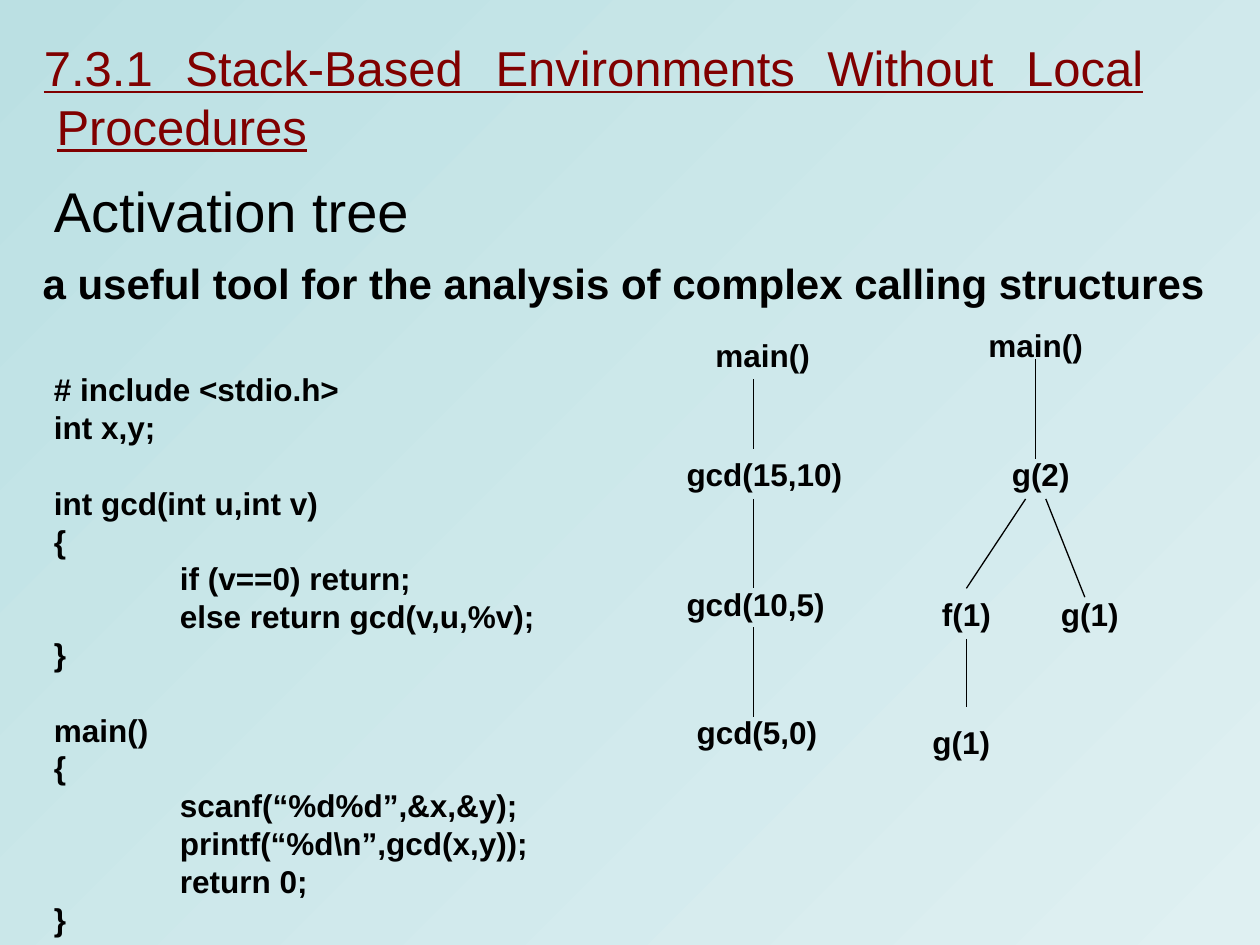
from lxml import etree
from pptx import Presentation
from pptx.dml.color import RGBColor
from pptx.enum.shapes import MSO_CONNECTOR
from pptx.enum.text import MSO_ANCHOR, PP_ALIGN
from pptx.oxml.ns import qn
from pptx.util import Inches, Pt

BLACK = RGBColor(0x00, 0x00, 0x00)
MAROON = RGBColor(0x80, 0x00, 0x00)
BG_START = RGBColor(0xBB, 0xE0, 0xE3)
BG_END = RGBColor(0xDF, 0xF0, 0xF2)
FONT = "Arial"
NODE_HEIGHT = 0.4
BOTTOM, TOP = 2, 0

CODE = """# include <stdio.h>
int x,y;

int gcd(int u,int v)
{
\tif (v==0) return;
\telse return gcd(v,u,%v);
}

main()
{
\tscanf(“%d%d”,&x,&y);
\tprintf(“%d\\n”,gcd(x,y));
\treturn 0;
}"""

# Nodes: text, left, top. Edges: each end is a point or the index of a node.
GCD_NODES = [("main()", 0.23, 0), ("gcd(15,10)", 0, 0.94),
             ("gcd(10,5)", 0, 1.97), ("gcd(5,0)", 0.08, 2.99)]
GCD_EDGES = [((0.63, 0.39), (0.63, 0.94)), ((0.63, 1.34), (0.63, 2.05)),
             ((0.63, 2.36), (0.63, 3.07))]
G_NODES = [("main()", 0.94, 0), ("g(2)", 0.98, 1.02), ("f(1)", 0.39, 2.13),
           ("g(1)", 1.37, 2.13), ("g(1)", 0.35, 3.15)]
G_EDGES = [((1.42, 0.31), (1.42, 1.1)), ((1.34, 1.42), 2),
           ((1.5, 1.42), (1.81, 2.2)), (2, (0.87, 3.07))]


def add_text_frame(slide, left, top, width, height, anchor=MSO_ANCHOR.TOP):
    sp = slide.shapes.add_textbox(Inches(left), Inches(top), Inches(width), Inches(height))
    tf = sp.text_frame
    tf.word_wrap = True
    tf.vertical_anchor = anchor
    return sp, tf


def write(p, text, size, color=BLACK, bold=False, underline=False):
    r = p.add_run()
    r.text = text
    r.font.name = FONT
    r.font.size = Pt(size)
    r.font.bold = bold
    r.font.underline = underline
    r.font.color.rgb = color


def set_background(slide):
    fill = slide.background.fill
    fill.gradient()
    fill.gradient_angle = 315
    for stop, color in zip(fill.gradient_stops, (BG_START, BG_END)):
        stop.color.rgb = color


def add_section_title(slide, left, top, width, height):
    p = add_text_frame(slide, left, top, width, height)[1].paragraphs[0]
    p.alignment = PP_ALIGN.JUSTIFY
    pPr = p._p.get_or_add_pPr()
    pPr.set("marL", str(Inches(0.1)))
    pPr.set("indent", str(-Inches(0.1)))
    write(p, "7.3.1 Stack-Based Environments Without Local Procedures", 28,
          MAROON, underline=True)


def add_heading(slide, left, top, width, height, text, size, bold=False):
    tf = add_text_frame(slide, left, top, width, height, MSO_ANCHOR.MIDDLE)[1]
    write(tf.paragraphs[0], text, size, bold=bold)


def add_tab_stop(p, position):
    tabs = etree.SubElement(p._p.get_or_add_pPr(), qn("a:tabLst"))
    etree.SubElement(tabs, qn("a:tab"), pos=str(Inches(position)), algn="l")


def add_code(slide, left, top, width, height):
    """Write the listing; an empty line becomes space before the next line."""
    tf = add_text_frame(slide, left, top, width, height)[1]
    p, gap = tf.paragraphs[0], False
    for i, line in enumerate(CODE.split("\n")):
        if not line:
            gap = True
            continue
        if i:
            p = tf.add_paragraph()
        add_tab_stop(p, 1)
        if gap:
            p.space_before = Pt(21.6)
            gap = False
        write(p, line, 18, bold=True)


def add_edge(slide, left, top, start, end, boxes):
    points = [(0, 0) if isinstance(e, int) else e for e in (start, end)]
    (x1, y1), (x2, y2) = points
    line = slide.shapes.add_connector(
        MSO_CONNECTOR.STRAIGHT, Inches(left + x1), Inches(top + y1),
        Inches(left + x2), Inches(top + y2))
    if isinstance(start, int):
        line.begin_connect(boxes[start], BOTTOM)
    if isinstance(end, int):
        line.end_connect(boxes[end], TOP)
    line.line.color.rgb = BLACK
    line.line.width = Pt(0.75)
    etree.SubElement(line._element.spPr, qn("a:effectLst"))


def add_tree(slide, left, top, node_width, nodes, edges, align):
    boxes = []
    for text, x, y in nodes:
        sp, tf = add_text_frame(slide, left + x, top + y, node_width, NODE_HEIGHT)
        tf.paragraphs[0].alignment = align
        write(tf.paragraphs[0], text, 18, bold=True)
        boxes.append(sp)
    for start, end in edges:
        add_edge(slide, left, top, start, end, boxes)


def main():
    prs = Presentation()
    prs.slide_width, prs.slide_height = Inches(10), Inches(7.5)
    slide = prs.slides.add_slide(prs.slide_layouts[6])
    set_background(slide)
    add_section_title(slide, 0.25, 0.25, 8.92, 1.04)
    add_heading(slide, 0.33, 1.33, 4, 0.67, "Activation tree", 32)
    add_heading(slide, 0.24, 1.99, 9.76, 0.5,
                "a useful tool for the analysis of complex calling structures", 24, bold=True)
    add_code(slide, 0.33, 2.89, 4.3, 4.6)
    add_tree(slide, 5.35, 2.62, 1.65, GCD_NODES, GCD_EDGES, PP_ALIGN.LEFT)
    add_tree(slide, 6.8, 2.54, 0.96, G_NODES, G_EDGES, PP_ALIGN.CENTER)
    prs.save("out.pptx")


if __name__ == "__main__":
    main()
